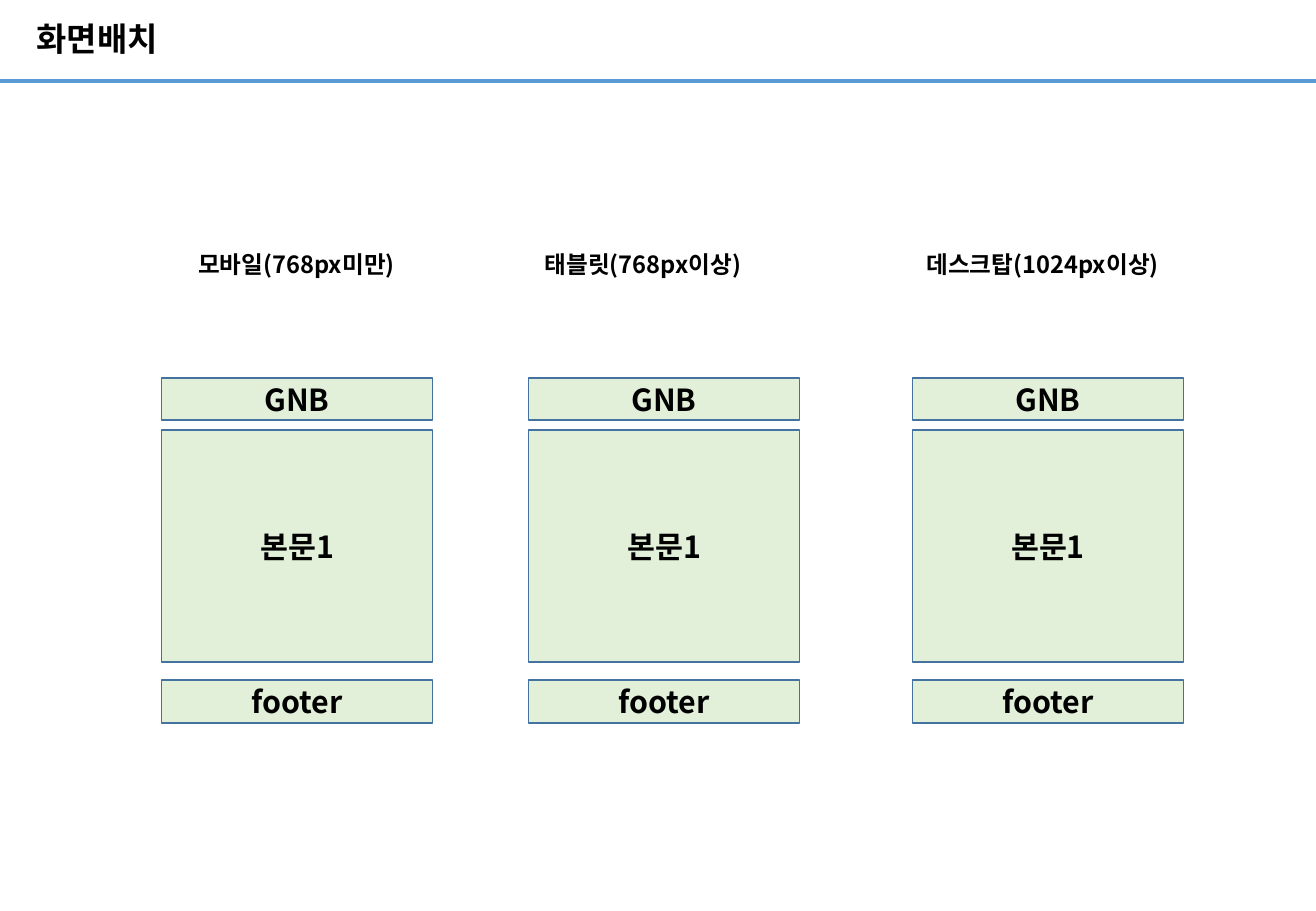
from dataclasses import dataclass

from lxml import etree
from pptx import Presentation
from pptx import util as u
from pptx.dml.color import RGBColor
from pptx.enum import shapes, text
from pptx.oxml import ns

KOREAN_FONT = "Noto Sans CJK KR"
BLOCK_WIDTH = 2.23


@dataclass
class Screen:
    caption: str
    caption_left: float
    caption_width: float
    left: float


@dataclass
class Block:
    label: str
    top: float
    height: float


SCREENS = [
    Screen("모바일(768px미만)", 1.4, 2.08, 1.33),
    Screen("태블릿(768px이상)", 4.35, 1.88, 4.35),
    Screen("데스크탑(1024px이상)", 7.51, 2.14, 7.51),
]
BLOCKS = [
    Block("GNB", 3.11, 0.35),
    Block("본문1", 3.54, 1.91),
    Block("footer", 5.6, 0.35),
]


def color(value: str) -> RGBColor:
    return RGBColor.from_string(value)


def inches(*lengths: float) -> list:
    return [u.Inches(length) for length in lengths]


def write(shape, content: str, *, size: float, font: str = KOREAN_FONT,
          align=text.PP_ALIGN.CENTER, inset: float | None = None,
          spacing: float | None = None) -> None:
    frame = shape.text_frame
    frame.word_wrap = True
    frame.vertical_anchor = text.MSO_ANCHOR.MIDDLE
    if inset is not None:
        frame.margin_left = frame.margin_right = u.Inches(inset)
        frame.margin_top = frame.margin_bottom = u.Inches(inset)
    paragraph = frame.paragraphs[0]
    paragraph.alignment = align
    if spacing is not None:
        paragraph.line_spacing = spacing
    run = paragraph.add_run()
    run.text = content
    run.font.size = u.Pt(size)
    run.font.bold = True
    run.font.name = font
    run.font.color.rgb = color("000000")
    east_asian = etree.SubElement(run.font._element, ns.qn("a:ea"))
    east_asian.set("typeface", KOREAN_FONT)


def draw_header(slide) -> None:
    rule = slide.shapes.add_connector(
        shapes.MSO_CONNECTOR.STRAIGHT, *inches(0, 0.67, 10.83, 0.67))
    rule.line.color.rgb = color("5B9BD5")
    rule.line.width = u.Pt(2.25)
    etree.SubElement(rule._element.spPr, ns.qn("a:effectLst"))
    title = slide.shapes.add_textbox(*inches(0.3, 0, 7.09, 0.68))
    write(title, "화면배치", size=19.5, font="Arial",
          align=text.PP_ALIGN.LEFT, inset=0, spacing=0.9)


def draw_block(slide, left: float, block: Block) -> None:
    area = slide.shapes.add_shape(
        shapes.MSO_SHAPE.RECTANGLE,
        *inches(left, block.top, BLOCK_WIDTH, block.height))
    area.shadow.inherit = False
    area.fill.solid()
    area.fill.fore_color.rgb = color("E2F0D9")
    area.line.color.rgb = color("43739E")
    area.line.width = u.Pt(1)
    write(area, block.label, size=18)


def draw_screen(slide, screen: Screen) -> None:
    caption = slide.shapes.add_textbox(
        *inches(screen.caption_left, 1.97, screen.caption_width, 0.4))
    write(caption, screen.caption, size=14)
    for block in BLOCKS:
        draw_block(slide, screen.left, block)


def main() -> None:
    deck = Presentation()
    deck.slide_width, deck.slide_height = inches(10.83, 7.5)
    slide = deck.slides.add_slide(deck.slide_layouts[6])
    draw_header(slide)
    for screen in SCREENS:
        draw_screen(slide, screen)
    deck.save("out.pptx")


if __name__ == "__main__":
    main()
